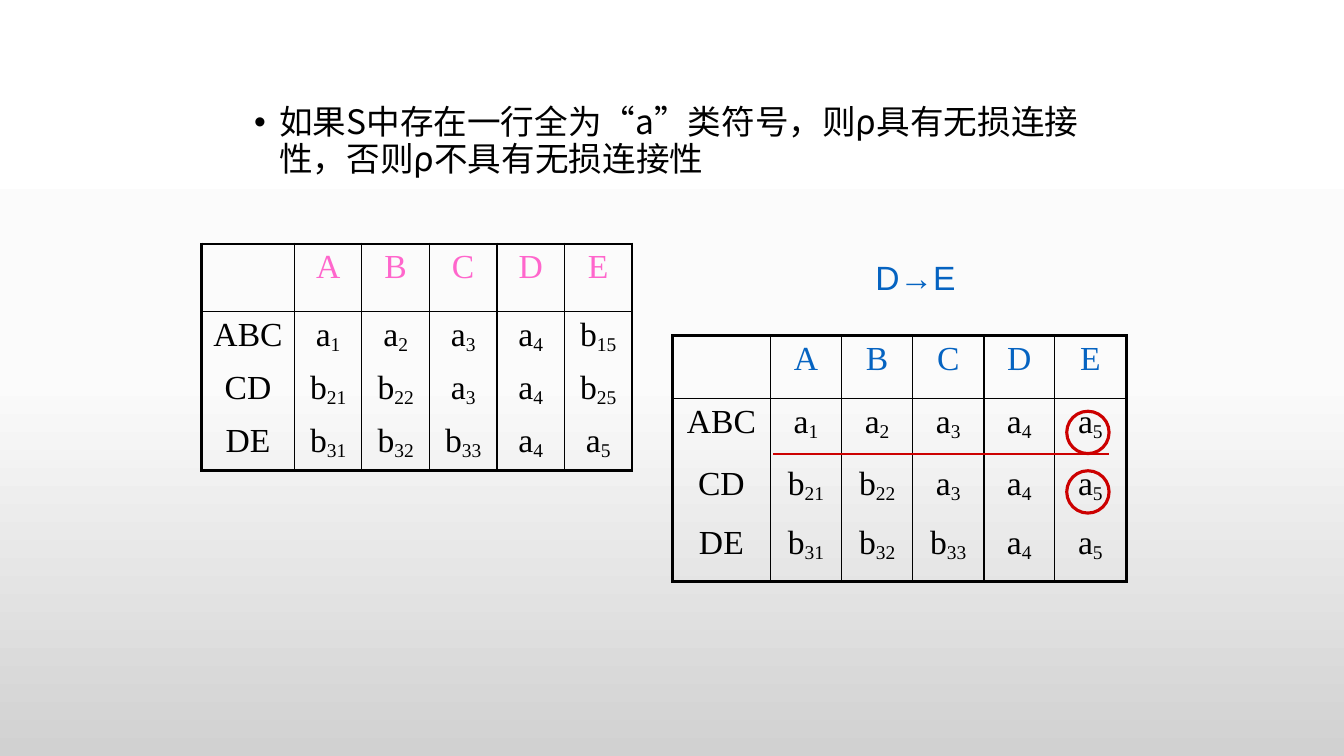
from copy import deepcopy
from dataclasses import dataclass
from typing import Any

from pptx import Presentation
from pptx.dml.color import RGBColor as Rgb
from pptx.enum.shapes import MSO_CONNECTOR as Link, MSO_SHAPE as Form
from pptx.enum.text import MSO_AUTO_SIZE as Fit, PP_ALIGN as Align
from pptx.oxml import parse_xml
from pptx.oxml.ns import nsdecls, qn
from pptx.oxml.xmlchemy import OxmlElement as Elem
from pptx.util import Inches, Pt


@dataclass(frozen=True)
class Theme:
    black: str = "000000"
    blue: str = "0563C1"
    pink: str = "FF66CC"
    red: str = "CC0000"
    back: tuple[str, ...] = ("FFFFFF", "FBFBFB", "D1D1D1")
    size: float = 24
    thin: float = 1
    mid: float = 1.5
    thick: float = 2.25
    cjk: str = "Noto Sans CJK SC"
    sans: str = "Arial"
    serif: str = "Times New Roman"


@dataclass(frozen=True)
class Grid:
    left: float
    top: float
    cols: tuple[float, ...]
    rows: tuple[float, ...]
    tint: str
    body: tuple[str, ...]


@dataclass(frozen=True)
class Ring:
    left: float
    top: float
    side: float = 0.42


LOOK = Theme()
HEAD = ("", "A", "B", "C", "D", "E")
GRIDS = (
    Grid(6.67, 3.33, (0.97, 0.71, 0.7, 0.71, 0.7, 0.71),
         (0.62, 0.62, 0.58, 0.62), LOOK.blue,
         ("ABC a1 a2 a3 a4 a5", "CD b21 b22 a3 a4 a5",
          "DE b31 b32 b33 a4 a5")),
    Grid(2, 2.42, (0.92,) + (0.67,) * 5, (0.67, 0.5, 0.32, 0.32), LOOK.pink,
         ("ABC a1 a2 a3 a4 b15", "CD b21 b22 a3 a4 b25",
          "DE b31 b32 b33 a4 a5")),
)
RINGS = (Ring(10.58, 4.08), Ring(10.58, 4.67))


def put(item: Any, **values: Any) -> None:
    for name, value in values.items():
        setattr(item, name, value)


def place(item: Any, *box: float) -> None:
    names = ("left", "top", "width", "height")
    put(item, **{name: Inches(num) for name, num in zip(names, box)})


def write(para: Any, text: str, face: str, tint: str, base: int = 0) -> None:
    run = para.add_run()
    put(run, text=text)
    put(run.font, name=face, size=Pt(LOOK.size))
    run.font.color.rgb = Rgb.from_string(tint)
    props = run._r.get_or_add_rPr()
    if base:
        props.set("baseline", str(base * 1000))
    east = Elem("a:ea")
    east.set("typeface", face)
    props.find(qn("a:latin")).addnext(east)


def indent(para: Any, left: float, first: float) -> Any:
    props = para._p.get_or_add_pPr()
    props.set("marL", str(Inches(left)))
    props.set("indent", str(Inches(first)))
    return props


def ink(line: Any, width: float) -> None:
    line.color.rgb = Rgb.from_string(LOOK.red)
    line.width = Pt(width)


def edge(cell: Any, side: str, width: float) -> None:
    fill = (f'<a:solidFill><a:srgbClr val="{LOOK.black}"/></a:solidFill>'
            if width else "<a:noFill/>")
    cell._tc.get_or_add_tcPr().append(parse_xml(
        f'<a:ln{side} {nsdecls("a")} w="{Pt(width)}">{fill}</a:ln{side}>'))


def add_grid(shapes: Any, grid: Grid) -> None:
    data = [HEAD] + [tuple(row.split()) for row in grid.body]
    last, end = len(data) - 1, len(HEAD) - 1
    table = shapes.add_table(
        len(data), len(HEAD), Inches(grid.left), Inches(grid.top),
        Inches(sum(grid.cols)), Inches(sum(grid.rows))).table
    put(table, first_row=False, horz_banding=False)
    for col, width in zip(table.columns, grid.cols):
        col.width = Inches(width)
    for row, height in zip(table.rows, grid.rows):
        row.height = Inches(height)
    for y, line in enumerate(data):
        for x, text in enumerate(line):
            cell = table.cell(y, x)
            # Thick frame, thin columns, one rule below the header
            edge(cell, "L", LOOK.thin if x else LOOK.thick)
            edge(cell, "R", LOOK.thick if x == end else LOOK.thin)
            edge(cell, "T", {0: LOOK.thick, 1: LOOK.thin}.get(y, 0))
            edge(cell, "B", {0: LOOK.thin, last: LOOK.thick}.get(y, 0))
            cell.fill.background()
            para = cell.text_frame.paragraphs[0]
            para.alignment = Align.CENTER
            stem = text.rstrip("0123456789")
            tint = LOOK.black if y else grid.tint
            if stem:
                write(para, stem, LOOK.serif, tint)
            if stem != text:
                write(para, text[len(stem):], LOOK.serif, tint, -16)


def add_rule(shapes: Any) -> None:
    rule = shapes.add_connector(
        Link.STRAIGHT, Inches(7.67), Inches(4.5), Inches(11), Inches(4.5))
    ink(rule.line, LOOK.mid)
    rule._element.spPr.append(Elem("a:effectLst"))


def add_ring(shapes: Any, ring: Ring) -> None:
    oval = shapes.add_shape(Form.OVAL, Inches(ring.left), Inches(ring.top),
                            Inches(ring.side), Inches(ring.side))
    oval.shadow.inherit = False
    oval.fill.background()
    ink(oval.line, LOOK.thick)


def add_label(shapes: Any) -> None:
    box = shapes.add_textbox(
        Inches(8.08), Inches(2.42), Inches(1.5), Inches(0.59))
    put(box.text_frame, word_wrap=True, auto_size=Fit.SHAPE_TO_FIT_TEXT)
    para = box.text_frame.paragraphs[0]
    put(para, alignment=Align.CENTER, level=1, line_spacing=1.2)
    indent(para, 0.5, 0)
    write(para, "D→E", LOOK.sans, LOOK.blue)


def fill_body(body: Any) -> None:
    place(body, 2.42, 1, 8.5, 1.17)
    para = body.text_frame.paragraphs[0]
    put(para, line_spacing=0.9, space_before=Pt(0))
    props = indent(para, 0.25, -0.25)
    for tag, key, value in (("a:buFont", "typeface", LOOK.sans),
                            ("a:buChar", "char", "•")):
        mark = Elem(tag)
        mark.set(key, value)
        props.append(mark)
    write(para, "如果S中存在一行全为“a”类符号，则ρ具有无损连接性，否则ρ不具有无损连接性",
          LOOK.cjk, LOOK.black)


def paint(slide: Any) -> None:
    fill = slide.background.fill
    fill.gradient()
    fill.gradient_angle = 270
    stops = slide.element.find(".//" + qn("a:gsLst"))
    stops.append(deepcopy(stops[0]))
    for i, (stop, tint) in enumerate(zip(fill.gradient_stops, LOOK.back)):
        stop.color.rgb = Rgb.from_string(tint)
        stop.position = i / 2


def main() -> None:
    deck = Presentation()
    put(deck, slide_width=Inches(13.33), slide_height=Inches(7.5))
    slide = deck.slides.add_slide(deck.slide_layouts[1])
    shapes = slide.shapes
    paint(slide)

    # Statement
    title = shapes.title.element
    title.getparent().remove(title)
    fill_body(slide.placeholders[1])

    # Tables, with the changed cells ringed and the full row underlined
    after, before = GRIDS
    add_grid(shapes, after)
    add_label(shapes)
    for ring in RINGS:
        add_ring(shapes, ring)
    add_grid(shapes, before)
    add_rule(shapes)
    deck.save("out.pptx")


if __name__ == "__main__":
    main()
